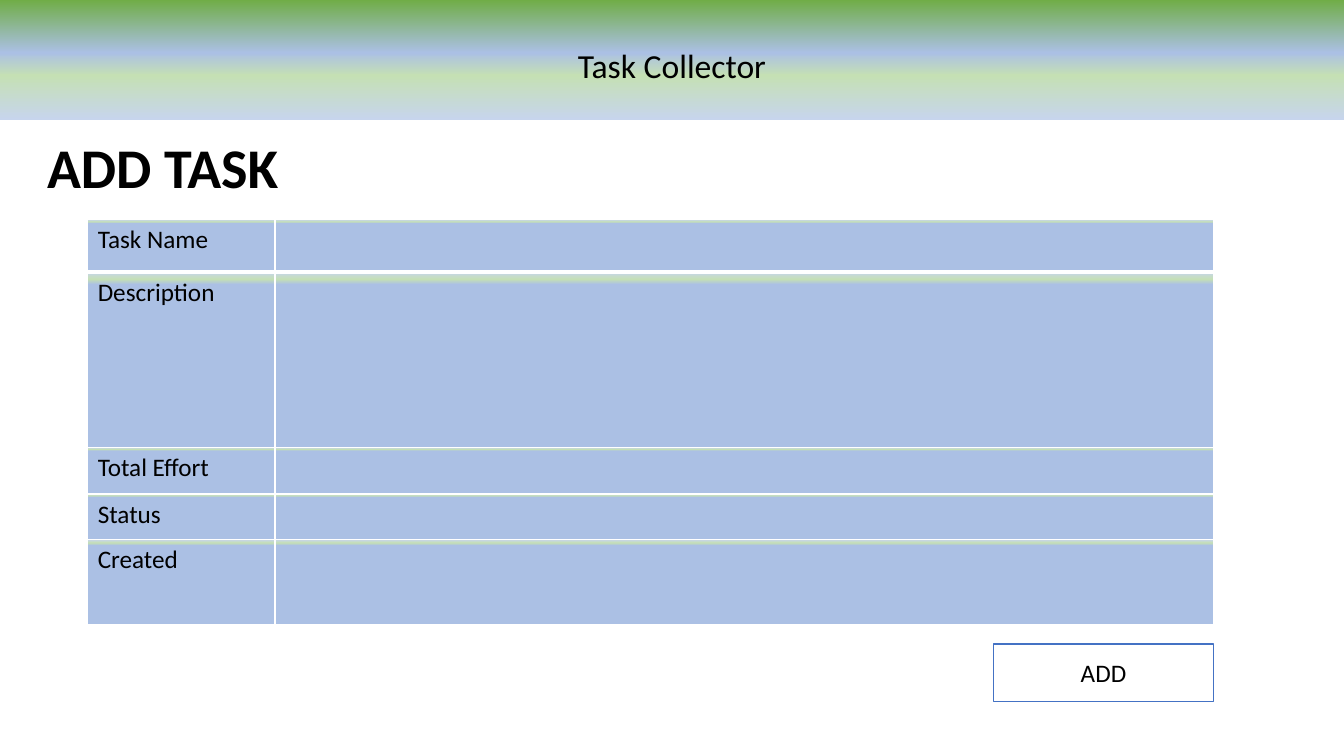
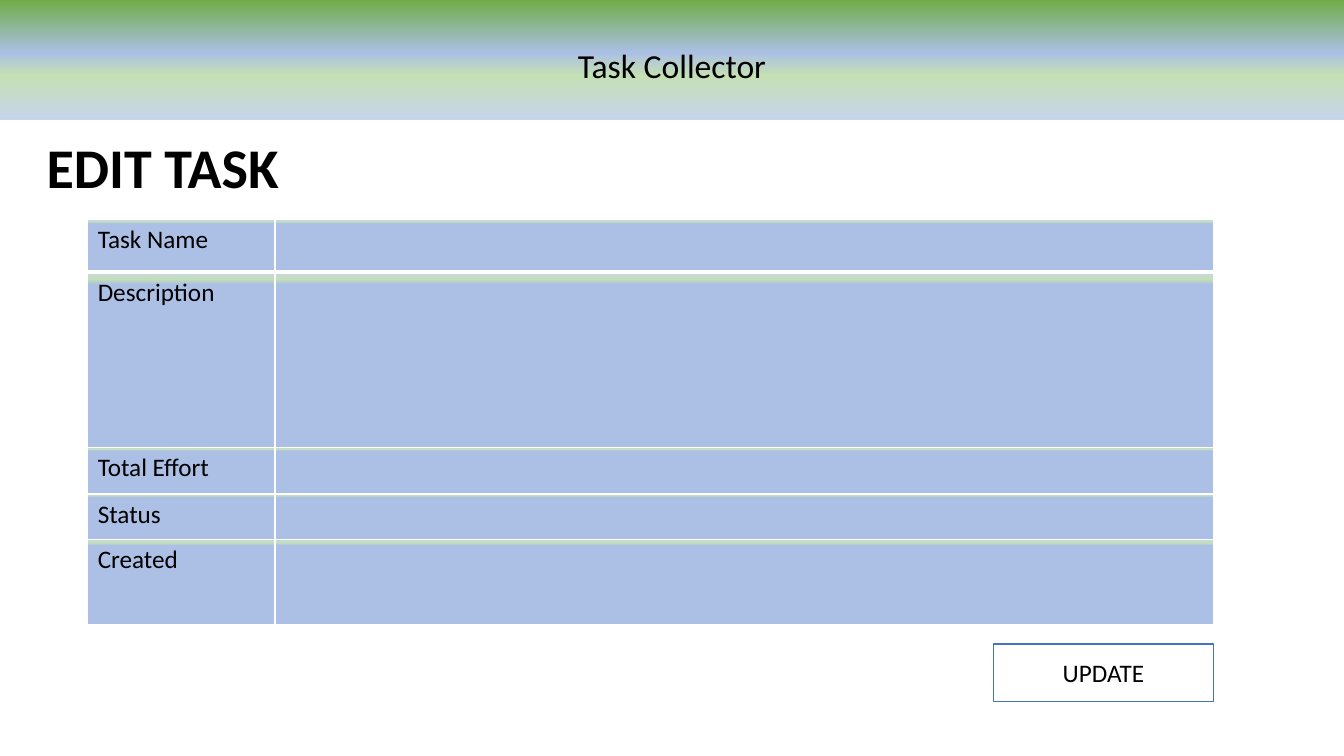
from lxml import etree
from pptx import Presentation
from pptx.dml.color import RGBColor
from pptx.enum.shapes import MSO_SHAPE
from pptx.enum.text import MSO_ANCHOR, MSO_AUTO_SIZE, PP_ALIGN
from pptx.oxml.ns import qn
from pptx.util import Cm, Pt

RECTANGLE = MSO_SHAPE.RECTANGLE
TOP, MIDDLE = MSO_ANCHOR.TOP, MSO_ANCHOR.MIDDLE
LEFT, CENTER = PP_ALIGN.LEFT, PP_ALIGN.CENTER

APP_NAME = "Task Collector"
SCREENS = [("ADD TASK", "ADD"), ("EDIT TASK", "UPDATE")]  # heading, button
FIELDS = [  # label, row height in cm
    ("Task Name", 1.32),
    ("Description", 4.42),
    ("Total Effort", 1.17),
    ("Status", 1.15),
    ("Created", 2.13),
]

FONT = "Calibri"
COLORS = {
    "text": "000000",
    "border": "FFFFFF",
    "outline": "4472C4",
    "green": "70AD47",
    "pale green": "C5E0B4",
    "blue": "ABC0E4",
    "pale blue": "C7D5ED",
}
BAND_STOPS = [(0, "green"), (44, "blue"), (63, "pale green"), (100, "pale blue")]
FIELD_STOPS = [(0, "green"), (0, "pale blue"), (4, "pale green"), (7, "blue")]

SLIDE_WIDTH, SLIDE_HEIGHT = Cm(33.87), Cm(19.05)
BAND_HEIGHT = Cm(3.02)
HEADING_BOX = (0, Cm(3.38), Cm(8.2), Cm(1.63))
FORM_LEFT, FORM_TOP = Cm(2.21), Cm(5.54)
COLUMN_WIDTHS = [Cm(4.72), Cm(23.65)]
FORM_WIDTH = sum(COLUMN_WIDTHS)
FORM_HEIGHT = Cm(sum(height for _, height in FIELDS))
BUTTON_WIDTH, BUTTON_HEIGHT = Cm(5.54), Cm(1.45)
BUTTON_GAP = Cm(0.5)
THIN, THICK = 1, 3


def rgb(color):
    return RGBColor.from_string(COLORS[color])


def write(frame, text, size=18, bold=False, align=CENTER, anchor=MIDDLE,
          line_spacing=None, space_before=None):
    frame.word_wrap = True
    frame.vertical_anchor = anchor
    frame.text = text
    paragraph = frame.paragraphs[0]
    paragraph.alignment = align
    paragraph.line_spacing = line_spacing
    paragraph.space_before = space_before
    font = paragraph.runs[0].font
    font.name, font.size, font.bold = FONT, Pt(size), bold
    font.color.rgb = rgb("text")


def fill_gradient(fill, properties, stops):
    """Fill from top to bottom; properties is the XML element that holds the fill."""
    fill.gradient()
    fill.gradient_angle = 270
    stop_list = properties.find(".//" + qn("a:gsLst"))
    stop_list.clear()
    for percent, color in stops:
        stop = etree.SubElement(stop_list, qn("a:gs"), pos=str(percent * 1000))
        etree.SubElement(stop, qn("a:srgbClr"), val=COLORS[color])


def set_borders(properties, top, bottom):
    widths = {"lnL": THIN, "lnR": THIN, "lnT": top, "lnB": bottom}
    for position, (side, width) in enumerate(widths.items()):
        line = etree.Element(qn("a:" + side), w=str(Pt(width)))
        solid = etree.SubElement(line, qn("a:solidFill"))
        etree.SubElement(solid, qn("a:srgbClr"), val=COLORS["border"])
        properties.insert(position, line)


def add_rectangle(slide, left, top, width, height):
    rectangle = slide.shapes.add_shape(RECTANGLE, left, top, width, height)
    rectangle.shadow.inherit = False
    return rectangle


def add_band(slide):
    band = add_rectangle(slide, 0, 0, SLIDE_WIDTH, BAND_HEIGHT)
    fill_gradient(band.fill, band._element.spPr, BAND_STOPS)
    band.line.fill.background()
    write(band.text_frame, APP_NAME, size=24, anchor=TOP,
          line_spacing=2.0, space_before=Pt(10))


def set_heading(slide, text):
    heading = slide.shapes.title
    heading.left, heading.top, heading.width, heading.height = HEADING_BOX
    heading.text_frame.auto_size = MSO_AUTO_SIZE.NONE
    write(heading.text_frame, text, size=40, bold=True)


def add_form(slide):
    form = slide.shapes.add_table(len(FIELDS), len(COLUMN_WIDTHS), FORM_LEFT,
                                  FORM_TOP, FORM_WIDTH, FORM_HEIGHT).table
    form.horz_banding = False
    for column, width in zip(form.columns, COLUMN_WIDTHS):
        column.width = width
    for index, (row, (label, height)) in enumerate(zip(form.rows, FIELDS)):
        row.height = Cm(height)
        for cell in row.cells:
            properties = cell._tc.get_or_add_tcPr()
            fill_gradient(cell.fill, properties, FIELD_STOPS)
            set_borders(properties, top=THICK if index == 1 else THIN,
                        bottom=THICK if index == 0 else THIN)
        write(row.cells[0].text_frame, label, align=LEFT, anchor=TOP)


def add_button(slide, text):
    button = add_rectangle(slide, FORM_LEFT + FORM_WIDTH - BUTTON_WIDTH,
                           FORM_TOP + FORM_HEIGHT + BUTTON_GAP,
                           BUTTON_WIDTH, BUTTON_HEIGHT)
    button.fill.background()
    button.line.color.rgb = rgb("outline")
    button.line.width = Pt(1)
    write(button.text_frame, text)


def main():
    deck = Presentation()
    deck.slide_width, deck.slide_height = SLIDE_WIDTH, SLIDE_HEIGHT
    title_only = deck.slide_layouts[5]
    for heading, action in SCREENS:
        slide = deck.slides.add_slide(title_only)
        add_band(slide)
        set_heading(slide, heading)
        add_form(slide)
        add_button(slide, action)
    deck.save("out.pptx")


if __name__ == "__main__":
    main()
